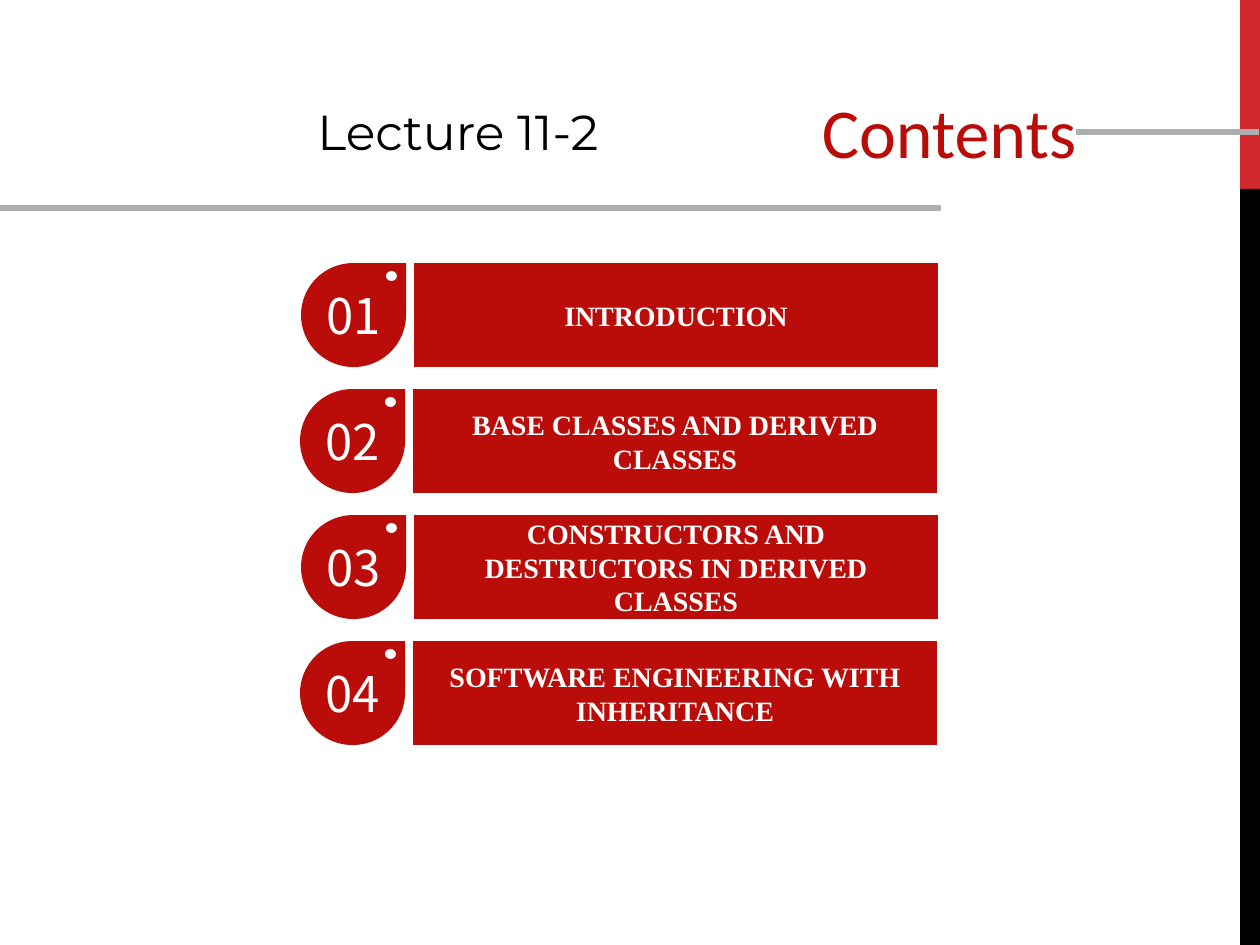
from dataclasses import dataclass

from lxml import etree
from pptx import Presentation
from pptx.dml.color import RGBColor
from pptx.enum.shapes import MSO_CONNECTOR, MSO_SHAPE
from pptx.enum.text import MSO_ANCHOR, PP_ALIGN
from pptx.oxml.ns import qn
from pptx.shapes.autoshape import Shape
from pptx.slide import Slide
from pptx.text.text import TextFrame
from pptx.util import Pt

RECT = MSO_SHAPE.RECTANGLE
OVAL = MSO_SHAPE.OVAL
TEAR = MSO_SHAPE.TEAR
STRAIGHT = MSO_CONNECTOR.STRAIGHT
LEFT, CENTER, RIGHT = PP_ALIGN.LEFT, PP_ALIGN.CENTER, PP_ALIGN.RIGHT
MIDDLE = MSO_ANCHOR.MIDDLE
EMU_PER_PX = 914400 / 126


@dataclass(frozen=True)
class TextStyle:
    font: str
    size: int
    color: str
    align: PP_ALIGN = CENTER
    bold: bool = False


@dataclass(frozen=True)
class Theme:
    red: str = "BA0D09"
    strip_red: str = "D1282E"
    black: str = "000000"
    white: str = "FFFFFF"
    gray: str = "ACAEB0"
    rule_width: int = 3
    title: TextStyle = TextStyle("Calibri", 40, "BA0D09", RIGHT)
    lecture: TextStyle = TextStyle("Montserrat", 28, "000000", LEFT)
    number: TextStyle = TextStyle("Noto Sans CJK JP", 28, "FFFFFF")
    topic: TextStyle = TextStyle("Times New Roman", 16, "FFFFFF", bold=True)


@dataclass(frozen=True)
class Box:
    x: int
    y: int
    w: int
    h: int

    def emu(self) -> list[int]:
        return [px(v) for v in (self.x, self.y, self.w, self.h)]


@dataclass(frozen=True)
class Topic:
    number: str
    text: str
    x: int


THEME = Theme()
TOPICS = [
    Topic("01", "INTRODUCTION", 301),
    Topic("02", "BASE CLASSES AND DERIVED CLASSES", 300),
    Topic("03", "CONSTRUCTORS AND DESTRUCTORS IN DERIVED CLASSES", 301),
    Topic("04", "SOFTWARE ENGINEERING WITH INHERITANCE", 300),
]
TOPIC_TOP, TOPIC_PITCH, TOPIC_HEIGHT = 263, 126, 104


def px(value: int) -> int:
    return round(value * EMU_PER_PX)


def write(tf: TextFrame, text: str, style: TextStyle) -> None:
    tf.text = text
    p = tf.paragraphs[0]
    p.alignment = style.align
    r = p.runs[0]
    r.font.name = style.font
    r.font.size = Pt(style.size)
    r.font.bold = style.bold
    r.font.color.rgb = RGBColor.from_string(style.color)


def add_block(s: Slide, kind: MSO_SHAPE, box: Box, color: str) -> Shape:
    sp = s.shapes.add_shape(kind, *box.emu())
    sp.shadow.inherit = False
    sp.fill.solid()
    sp.fill.fore_color.rgb = RGBColor.from_string(color)
    sp.line.fill.background()
    return sp


def add_rule(s: Slide, x1: int, x2: int, y: int) -> None:
    line = s.shapes.add_connector(STRAIGHT, px(x1), px(y), px(x2), px(y))
    line.line.color.rgb = RGBColor.from_string(THEME.gray)
    line.line.width = Pt(THEME.rule_width)
    etree.SubElement(line._element.spPr, qn("a:effectLst"))


def add_title(s: Slide, text: str, box: Box) -> None:
    sp = s.shapes.title
    sp.left, sp.top, sp.width, sp.height = box.emu()
    tf = sp.text_frame
    tf.vertical_anchor = MIDDLE
    tf.margin_top = tf.margin_bottom = 0
    write(tf, text, THEME.title)


def add_lecture(s: Slide, text: str, box: Box) -> None:
    tf = s.shapes.add_textbox(*box.emu()).text_frame
    tf.word_wrap = False
    write(tf, text, THEME.lecture)


def add_topic(s: Slide, topic: Topic, y: int) -> None:
    drop = add_block(s, TEAR, Box(topic.x, y, 105, TOPIC_HEIGHT), THEME.red)
    tf = drop.text_frame
    tf.margin_left = tf.margin_right = tf.margin_top = tf.margin_bottom = 0
    tf.vertical_anchor = MIDDLE
    write(tf, topic.number, THEME.number)
    add_block(s, OVAL, Box(topic.x + 85, y + 8, 11, 10), THEME.white)
    bar = add_block(s, RECT, Box(topic.x + 113, y, 524, TOPIC_HEIGHT), THEME.red)
    bar.text_frame.vertical_anchor = MIDDLE
    write(bar.text_frame, topic.text, THEME.topic)


def main() -> None:
    prs = Presentation()
    prs.slide_width, prs.slide_height = px(1260), px(945)
    s = prs.slides.add_slide(prs.slide_layouts[5])
    add_block(s, RECT, Box(1240, 0, 20, 189), THEME.strip_red)
    add_block(s, RECT, Box(1240, 189, 20, 756), THEME.black)
    add_title(s, "Contents", Box(631, 88, 458, 86))
    add_rule(s, 1076, 1259, 132)
    add_rule(s, -1, 941, 208)
    add_lecture(s, "Lecture 11-2", Box(305, 95, 364, 77))
    for i, topic in enumerate(TOPICS):
        add_topic(s, topic, TOPIC_TOP + i * TOPIC_PITCH)
    prs.save("out.pptx")


if __name__ == "__main__":
    main()
